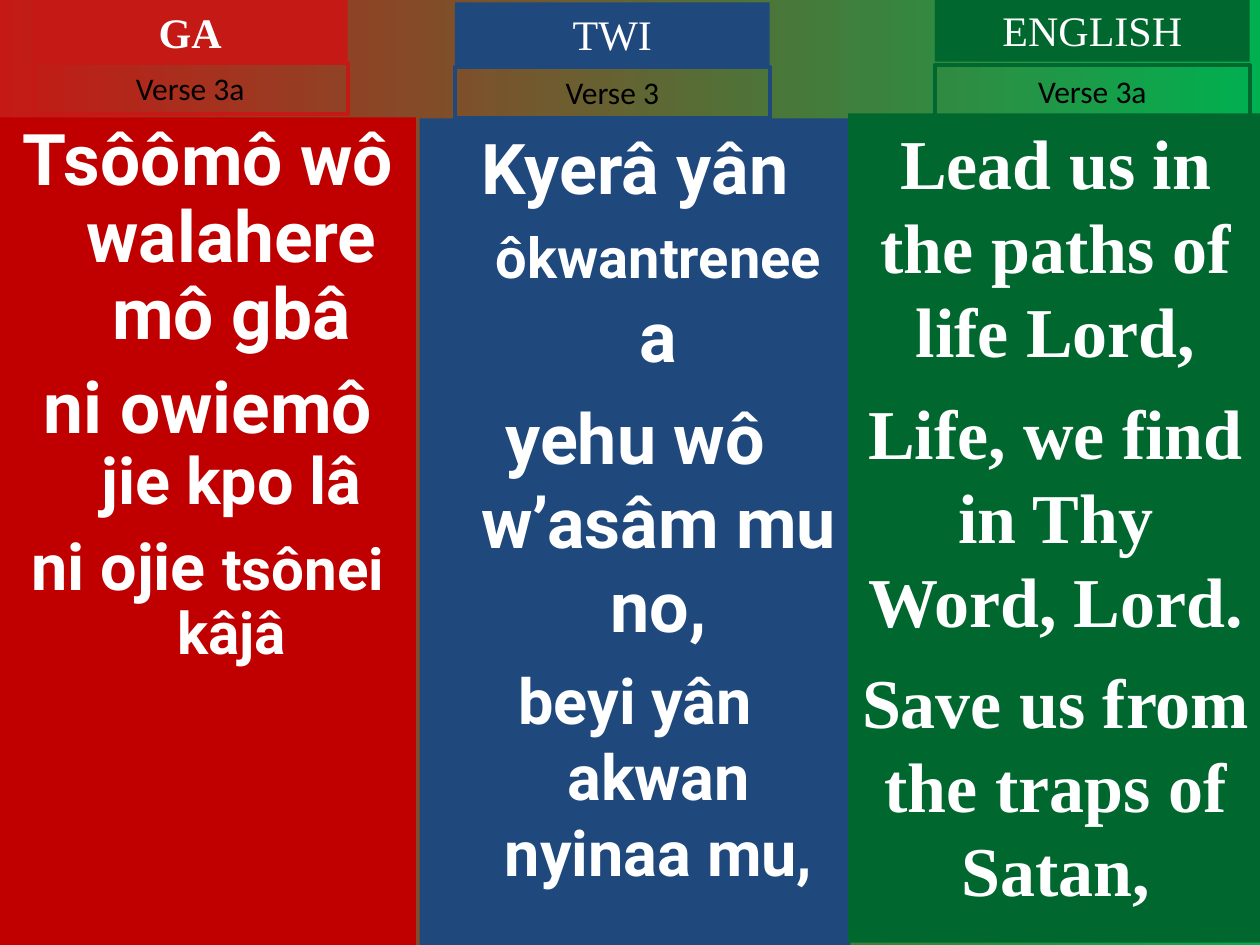
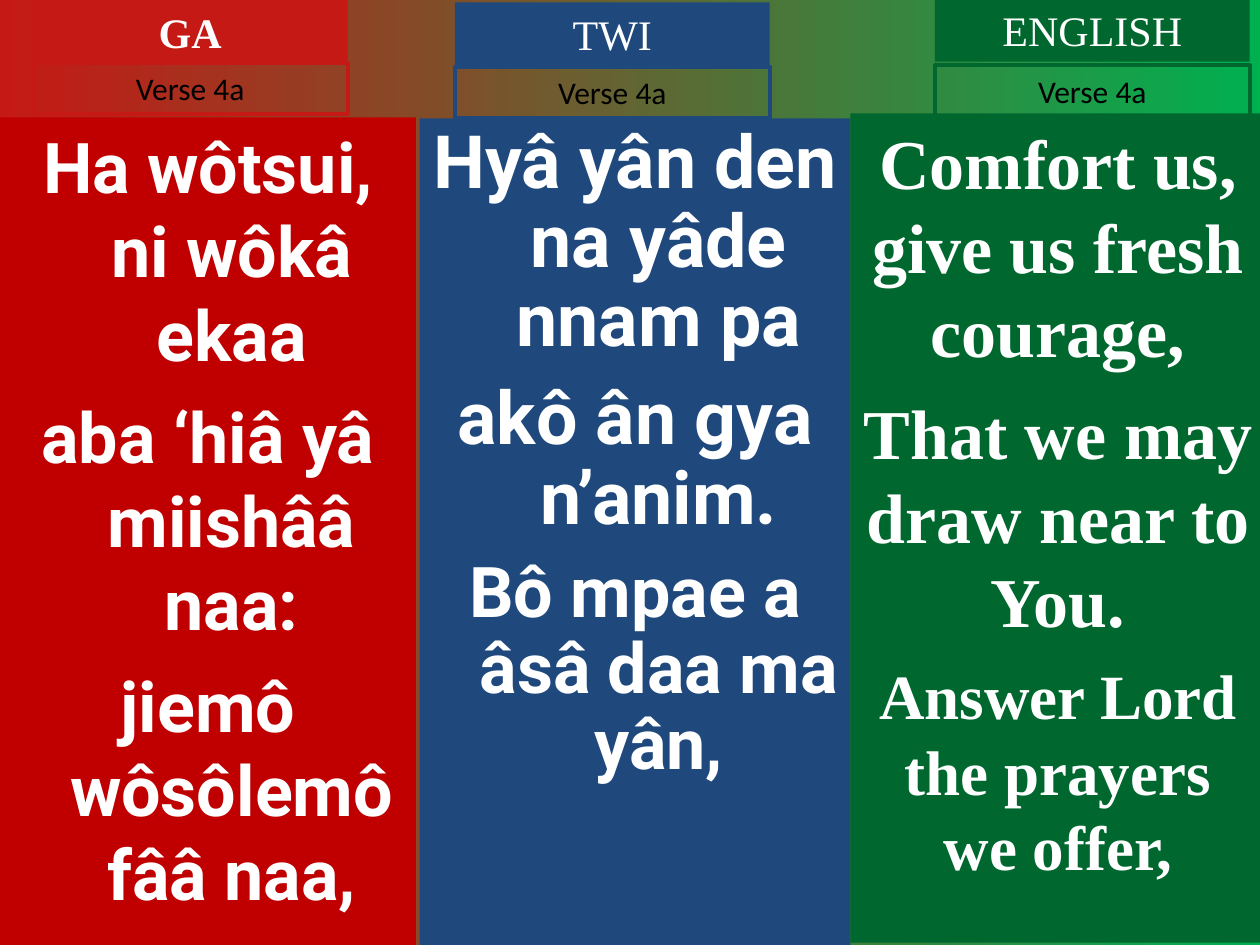
from lxml import etree
from pptx import Presentation
from pptx.dml.color import RGBColor
from pptx.enum.text import MSO_ANCHOR, MSO_AUTO_SIZE, PP_ALIGN
from pptx.oxml.ns import qn
from pptx.util import Pt

TOP = MSO_ANCHOR.TOP
FIXED = MSO_AUTO_SIZE.NONE
CENTER = PP_ALIGN.CENTER

WHITE = RGBColor(0xFF, 0xFF, 0xFF)
BLACK = RGBColor(0, 0, 0)
RED = RGBColor(0xC0, 0, 0)
BRICK = RGBColor(0xC5, 0x19, 0x15)
BLUE = RGBColor(0x1F, 0x49, 0x7D)
GREEN = RGBColor(0, 0x68, 0x2F)
LIME = RGBColor(0, 0xB0, 0x50)

SERIF = "Times New Roman"
SANS = "Roboto"
PLAIN = "Calibri"
TAB_W = 180
HANG = 27

HEADS = [
    ("GA", 18.7, 0, BRICK, True),
    ("TWI", 259.9, 1.4, BLUE, False),
    ("ENGLISH", 534.2, -0.7, GREEN, False),
]
TAG_TOPS = [36, 38.2, 37.4]

SONGS = [
    {
        "tags": ["Verse 3a", "Verse 3", "Verse 3a"],
        "ga": [[("Tsôômô wô walaheremô gbâ", 40.7)],
               [("ni owiemô ", 40.7), ("jie kpo lâ", 37)],
               [("ni ojie ", 37), ("tsônei kâjâ", 33.3)]],
        "twi": [[("Kyerâ yân ", 40), ("ôkwantrenee", 32), (" a", 40)],
                [("yehu wô w’asâm mu no,", 40)],
                [("beyi yân akwan nyinaa mu,", 36)]],
        "eng": [[("Lead us in the paths of life Lord,", 40)],
                [("Life, we find in Thy Word, Lord.", 40)],
                [("Save us from the traps of Satan,", 40)]],
        "gaps": [(10, 9), (10, 9), (10, 10)],
        "lines": (0.9, 1),
        "left": 484.6,
    },
    {
        "tags": ["Verse 4a", "Verse 4a", "Verse 4a"],
        "ga": [[("Ha wôtsui, ni wôkâ ekaa", 40)],
               [("aba ‘hiâ yâ miishââ naa:", 40)],
               [("jiemô wôsôlemô fââ naa,", 40)]],
        "twi": [[("Hyâ yân den na yâde nnam pa", 42)],
                [("akô ân gya n’anim.", 42)],
                [("Bô mpae a âsâ daa ma yân,", 40)]],
        "eng": [[("Comfort us, give us fresh courage,", 40)],
                [("That we may draw near to You.", 40)],
                [("Answer Lord the prayers we offer,", 36)]],
        "gaps": [(10, 10), (10.5, 10), (10, 9)],
        "lines": (1, 0.9),
        "left": 486,
    },
]


def place(box, left, top, width, height, fill=None, line=None):
    box.left, box.top = Pt(left), Pt(top)
    box.width, box.height = Pt(width), Pt(height)
    if fill is not None:
        box.fill.solid()
        box.fill.fore_color.rgb = fill
    if line is not None:
        box.line.color.rgb = line
        box.line.width = Pt(2.25)
    frame = box.text_frame
    frame.word_wrap = True
    frame.auto_size = FIXED
    frame.vertical_anchor = TOP
    frame.margin_left = frame.margin_right = Pt(7.2)
    frame.margin_top = frame.margin_bottom = Pt(3.6)
    return frame


def write(para, text, size=24, face=SERIF, color=WHITE, bold=False):
    run = para.add_run()
    run.text = text
    font = run.font
    font.name, font.size, font.bold = face, Pt(size), bold
    font.color.rgb = color


def label(box, text, spot, fill=None, line=None, **style):
    frame = place(box, *spot, fill=fill, line=line)
    para = frame.paragraphs[0]
    para.alignment = CENTER
    write(para, text, **style)


def verse(box, spot, fill, paras, gaps, face=SANS, hang=HANG, line=1):
    frame = place(box, *spot, fill=fill)
    for i, runs in enumerate(paras):
        para = frame.add_paragraph() if i else frame.paragraphs[0]
        props = para._p.get_or_add_pPr()
        props.set("marL", str(Pt(hang)))
        props.set("indent", str(-Pt(hang)))
        etree.SubElement(props, qn("a:buNone"))
        para.alignment = CENTER
        para.line_spacing = line
        para.space_before = Pt(gaps[i - 1] if i else 0)
        for text, size in runs:
            write(para, text, size=size, face=face, bold=True)


def blend(slide):
    fill = slide.background.fill
    fill.gradient()
    fill.gradient_angle = 0
    for stop, color, pos in zip(fill.gradient_stops, (BRICK, LIME), (0, 1)):
        stop.color.rgb = color
        stop.position = pos


def build(deck, song):
    slide = deck.slides.add_slide(deck.slide_layouts[3])
    blend(slide)

    def new_box():
        return slide.shapes.add_textbox(0, 0, 0, 0)

    title, ga, twi = slide.placeholders
    ga_gaps, twi_gaps, eng_gaps = song["gaps"]
    ga_line, twi_line = song["lines"]
    verse(ga, (0, 67, 237.6, 473), RED, song["ga"], ga_gaps, line=ga_line)
    verse(twi, (239.8, 67.7, 246.2, 472.3), BLUE, song["twi"], twi_gaps,
          line=twi_line)
    verse(new_box(), (song["left"], 64.8, 237.2, 473.8), GREEN, song["eng"],
          eng_gaps, face=SERIF, hang=0)

    for i, (name, left, top, color, bold) in enumerate(HEADS):
        label(new_box() if i else title, name, (left, top, TAB_W, 36),
              fill=color, bold=bold)
        label(new_box(), song["tags"][i], (left, TAG_TOPS[i], TAB_W, 29),
              line=color, size=18, face=PLAIN, color=BLACK)


def main():
    deck = Presentation()
    deck.slide_width, deck.slide_height = Pt(720), Pt(540)
    for song in SONGS:
        build(deck, song)
    deck.save("out.pptx")


if __name__ == "__main__":
    main()
